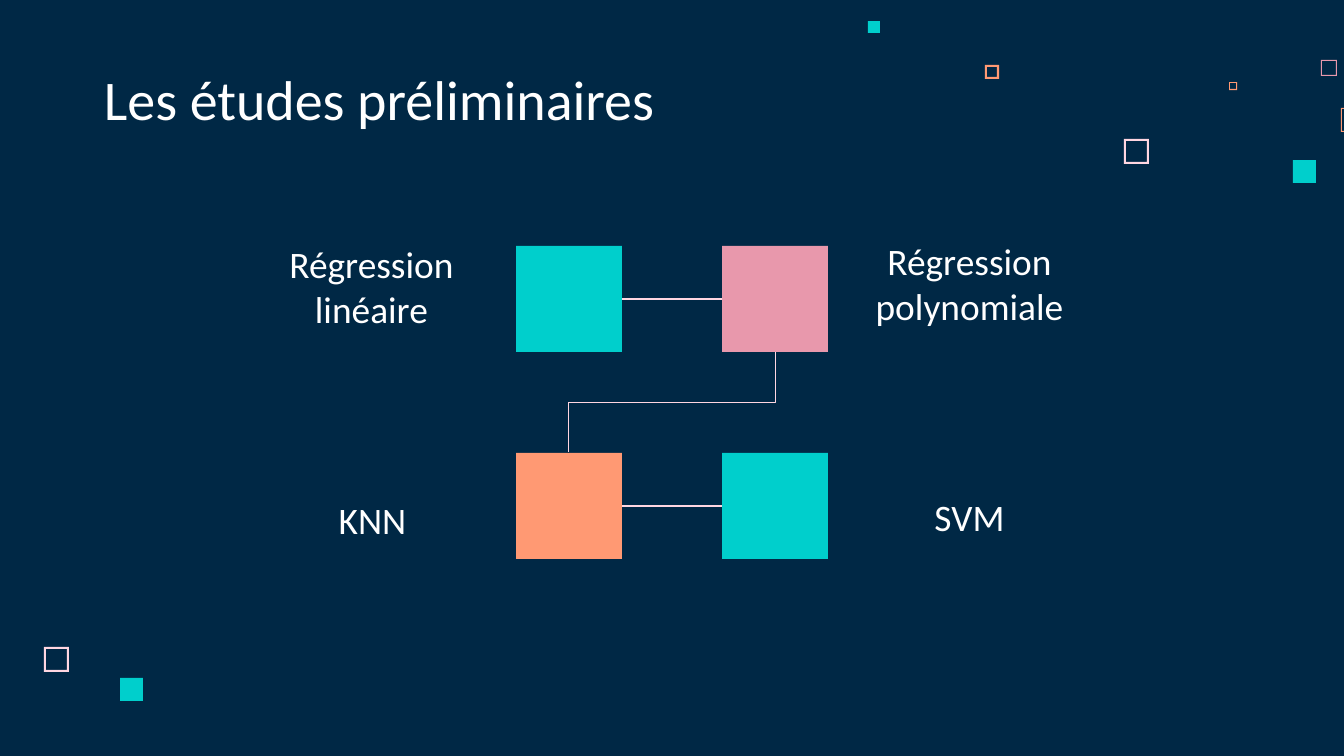
from lxml import etree
from pptx import Presentation
from pptx.dml.color import RGBColor
from pptx.enum.shapes import MSO_CONNECTOR, MSO_SHAPE
from pptx.enum.text import MSO_ANCHOR, PP_ALIGN
from pptx.oxml.ns import qn
from pptx.util import Pt

RECT, FRAME = MSO_SHAPE.RECTANGLE, MSO_SHAPE.FRAME
ELBOW, STRAIGHT = MSO_CONNECTOR.ELBOW, MSO_CONNECTOR.STRAIGHT
LEFT, CENTER = PP_ALIGN.LEFT, PP_ALIGN.CENTER
PX = 914400 / 134.4  # EMU per pixel

COLORS = {
    "navy": "002845", "white": "FFFFFF", "teal": "00CFCC",
    "orange": "FF9973", "pink": "E898AC", "blush": "FFD6E1",
}


def emu(*lengths):
    return [round(n * PX) for n in lengths]


def add_square(kind, x, y, size, color):
    sp = s.shapes.add_shape(kind, *emu(x, y, size, size))
    sp.shadow.inherit = False
    sp.fill.solid()
    sp.fill.fore_color.rgb = RGBColor.from_string(COLORS[color])
    sp.line.fill.background()
    return sp


prs = Presentation()
prs.slide_width, prs.slide_height = emu(1344, 756)
s = prs.slides.add_slide(prs.slide_layouts[6])
s.background.fill.solid()
s.background.fill.fore_color.rgb = RGBColor.from_string(COLORS["navy"])

# Scattered hollow squares: x, y, size, border, colour
for x, y, size, border, color in [
    (1124, 139, 25, 2, "blush"),
    (1321, 60, 16, 1, "pink"),
    (1229, 82, 8, 1, "orange"),
    (1341, 108, 24, 1, "orange"),
    (985, 65, 14, 2, "orange"),
    (44, 647, 25, 2, "blush"),
]:
    sp = add_square(FRAME, x, y, size, color)
    sp.adjustments[0] = border / size

# Scattered solid squares
for x, y, size in [(1293, 160, 23), (868, 21, 12), (120, 678, 23)]:
    add_square(RECT, x, y, size, "teal")

# Title and method labels: text, box, size, alignment
for text, box, size, align in [
    ("Les études préliminaires", (91, 60, 866, 85), 30, LEFT),
    ("Régression polynomiale", (831, 246, 277, 95), 20, CENTER),
    ("KNN", (234, 460, 277, 95), 20, CENTER),
    ("Régression linéaire", (233, 249, 277, 95), 20, CENTER),
    ("SVM", (831, 457, 277, 95), 20, CENTER),
]:
    tf = s.shapes.add_textbox(*emu(*box)).text_frame
    tf.word_wrap = True
    tf.vertical_anchor = MSO_ANCHOR.BOTTOM
    tf.margin_left, tf.margin_top, tf.margin_right, tf.margin_bottom = emu(13, 13, 13, 13)
    p = tf.paragraphs[0]
    p.text = text
    p.alignment = align
    p.font.name = "Calibri"
    p.font.size = Pt(size)
    p.font.color.rgb = RGBColor.from_string(COLORS["white"])

# Two by two grid of method squares
SIDE = 106
COLS, ROWS = (516, 722), (246, 453)
GRID = [("teal", "pink"), ("orange", "teal")]
for y, row in zip(ROWS, GRID):
    for x, color in zip(COLS, row):
        add_square(RECT, x, y, SIDE, color)

# Connectors along the rows, and a turned elbow between them
x1, x2 = COLS[0] + SIDE, COLS[1]
y1, y2 = (y + SIDE / 2 for y in ROWS)
for kind, ends, turn in [
    (ELBOW, (x1, y1, x2, y1), 0),
    (ELBOW, (x1, y1, x2, y2), 90),
    (STRAIGHT, (x1, y2, x2, y2), 0),
]:
    c = s.shapes.add_connector(kind, *emu(*ends))
    c.line.color.rgb = RGBColor.from_string(COLORS["blush"])
    c.line.width = Pt(0.75)
    spPr = c._element.spPr
    etree.SubElement(spPr, qn("a:effectLst"))
    if turn:
        spPr.find(qn("a:xfrm")).set("rot", str(turn * 60000))

prs.save("out.pptx")
